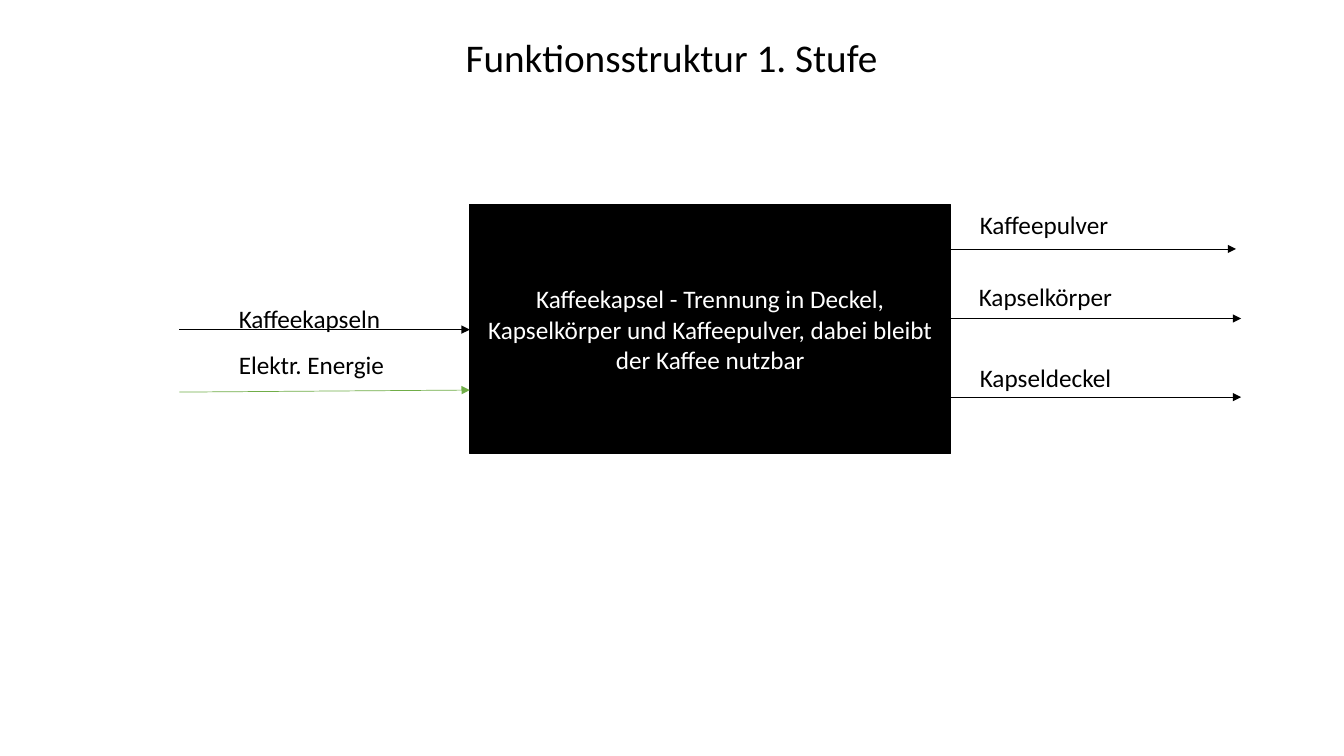
from lxml import etree
from pptx import Presentation
from pptx import util as u
from pptx.dml import color
from pptx.enum import shapes, text
from pptx.oxml import ns

FONT = "Calibri"
BLACK, WHITE, GREEN = "000000", "FFFFFF", "70AD47"
BOX = (4.66, 2.03, 4.77, 2.47)
ARROW_RUN = 2.88

# Label, label offset (x, y), arrow start offset (x, y), arrow rise, colour;
# offsets are measured from the top of the box, at its left or right edge.
INPUTS = [
    ("Kaffeekapseln", (-2.39, 0.93), (-ARROW_RUN, 1.24), 0, BLACK),
    ("Elektr. Energie", (-2.39, 1.39), (-ARROW_RUN, 1.86), 0.02, GREEN),
]
OUTPUTS = [
    ("Kaffeepulver", (0.19, 0), (-0.05, 0.44), 0, BLACK),
    ("Kapselkörper", (0.18, 0.71), (0, 1.13), 0, BLACK),
    ("Kapseldeckel", (0.19, 1.52), (0, 1.91), 0, BLACK),
]


def rgb(code):
    """Return the colour for a hex string."""
    return color.RGBColor.from_string(code)


def write(shape, words, size=18, ink=BLACK, align=text.PP_ALIGN.LEFT,
          anchor=text.MSO_ANCHOR.TOP, fit=text.MSO_AUTO_SIZE.NONE):
    """Put one formatted paragraph into a shape."""
    frame = shape.text_frame
    frame_format = {"word_wrap": True, "auto_size": fit, "vertical_anchor": anchor}
    for name, value in frame_format.items():
        setattr(frame, name, value)
    para = frame.paragraphs[0]
    para.alignment = align
    span = para.add_run()
    span.text = words
    for name, value in {"name": FONT, "size": u.Pt(size)}.items():
        setattr(span.font, name, value)
    span.font.color.rgb = rgb(ink)


def add_title(page, box, words):
    """Place and fill the title placeholder."""
    title = page.shapes.title
    for name, value in zip(("left", "top", "width", "height"), box):
        setattr(title, name, u.Inches(value))
    write(title, words, size=28, align=text.PP_ALIGN.CENTER)


def add_function(page, box, words):
    """Draw the black box that holds the overall function."""
    block = page.shapes.add_shape(shapes.MSO_SHAPE.RECTANGLE, *map(u.Inches, box))
    block.shadow.inherit = False
    block.fill.solid()
    block.fill.fore_color.rgb = rgb(BLACK)
    block.line.color.rgb = rgb(BLACK)
    block.line.width = u.Pt(1)
    write(block, words, ink=WHITE, align=text.PP_ALIGN.CENTER,
          anchor=text.MSO_ANCHOR.MIDDLE)


def add_arrow(page, start, end, ink):
    """Draw a thin arrow with a triangular head at its end."""
    arrow = page.shapes.add_connector(
        shapes.MSO_CONNECTOR.STRAIGHT, *map(u.Inches, (*start, *end)))
    arrow.line.color.rgb = rgb(ink)
    arrow.line.width = u.Pt(0.5)
    etree.SubElement(arrow.line._get_or_add_ln(), ns.qn("a:tailEnd"), type="triangle")
    etree.SubElement(arrow._element.spPr, ns.qn("a:effectLst"))


def add_flows(page, edge, top, flows):
    """Draw labelled flows beside one edge of the function box."""
    for words, (label_x, label_y), (arrow_x, arrow_y), rise, ink in flows:
        left, level = edge + arrow_x, top + arrow_y
        add_arrow(page, (left, level), (left + ARROW_RUN, level - rise), ink)
        label = page.shapes.add_textbox(
            *map(u.Inches, (edge + label_x, top + label_y, 2.24, 0.4)))
        write(label, words, fit=text.MSO_AUTO_SIZE.SHAPE_TO_FIT_TEXT)


def build_structure(page, box):
    """Build the function box with its inputs and outputs."""
    left, top, width, _ = box
    add_function(page, box, "Kaffeekapsel - Trennung in Deckel, Kapselkörper und "
                            "Kaffeepulver, dabei bleibt der Kaffee nutzbar")
    add_flows(page, left, top, INPUTS)
    add_flows(page, left + width, top, OUTPUTS)


deck = Presentation()
deck.slide_width, deck.slide_height = u.Inches(13.33), u.Inches(7.5)
page = deck.slides.add_slide(deck.slide_layouts.get_by_name("Title Only"))
add_title(page, (2.33, 0.28, 8.66, 0.57), "Funktionsstruktur 1. Stufe")
build_structure(page, BOX)
deck.save("out.pptx")
